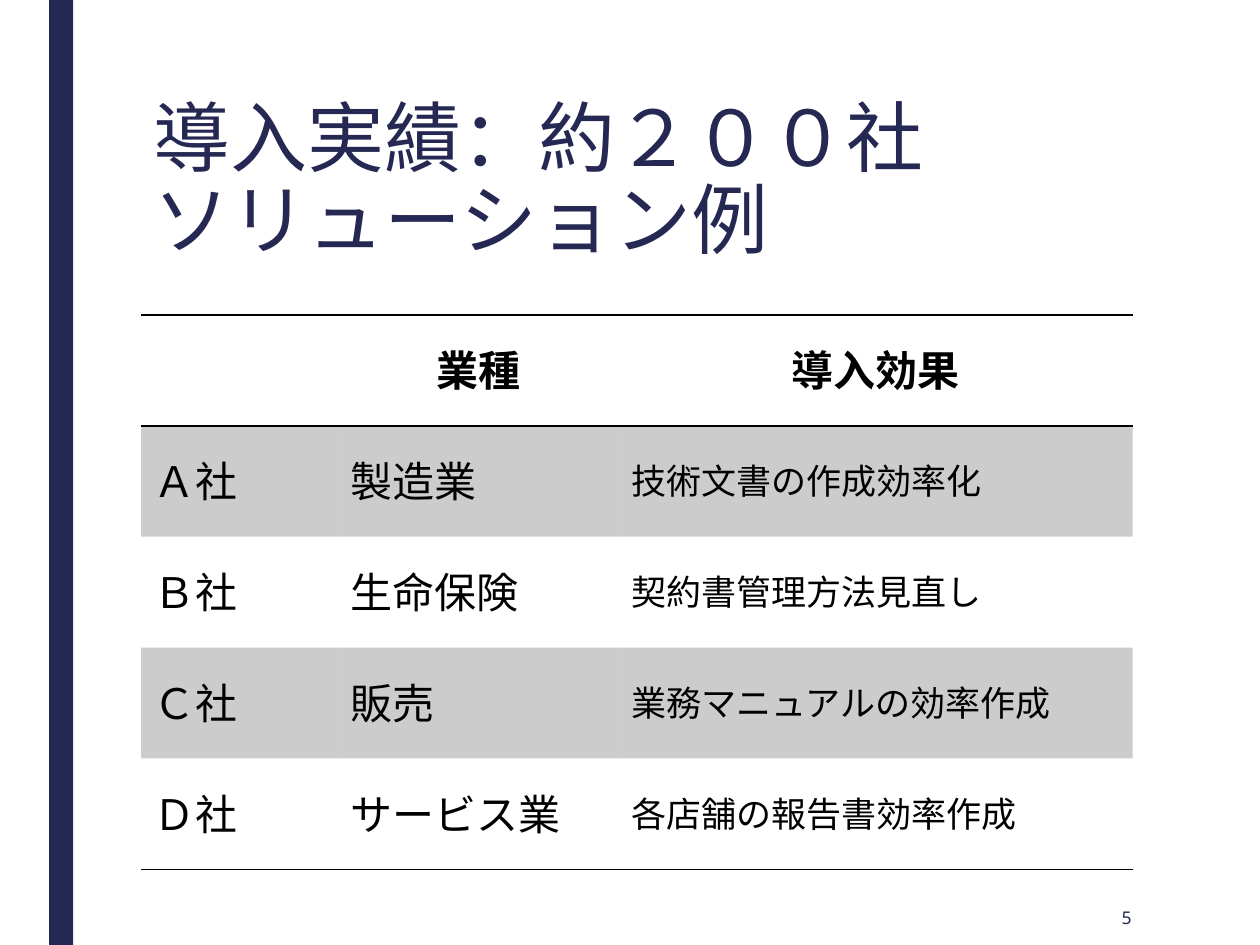
from lxml.etree import SubElement
from pptx import Presentation
from pptx.dml.color import RGBColor
from pptx.enum.shapes import MSO_SHAPE
from pptx.enum.text import MSO_ANCHOR, PP_ALIGN
from pptx.oxml.ns import qn
from pptx.util import Inches, Pt

# Content
TITLE = "導入実績：約２００社\vソリューション例"
PAGE_NUMBER = "5"
ROWS = [
    ("", "業種", "導入効果"),
    ("Ａ社", "製造業", "技術文書の作成効率化"),
    ("Ｂ社", "生命保険", "契約書管理方法見直し"),
    ("Ｃ社", "販売", "業務マニュアルの効率作成"),
    ("Ｄ社", "サービス業", "各店舗の報告書効率作成"),
]

# Theme and layout
THEME = {"font": "Noto Sans", "navy": "242852", "black": "000000",
         "title": 44, "cell": 24, "effect": 20, "number": 10,
         "band_alpha": 20, "rule": 1}
WIDTH, HEIGHT = 10, 7.5
LEFT, CONTENT_WIDTH = 1.12, 7.88
COLUMNS = (1.56, 2.23, 4.08)
ROW_HEIGHT = 0.88


def write(frame, text, size, color=THEME["black"], bold=False,
          align=PP_ALIGN.LEFT, anchor=MSO_ANCHOR.MIDDLE, spacing=None):
    frame.word_wrap = True
    frame.vertical_anchor = anchor
    para = frame.paragraphs[0]
    para.text = text
    para.alignment = align
    para.line_spacing = spacing
    for span in para.runs:
        span.font.size = Pt(size)
        span.font.bold = bold
        span.font.name = THEME["font"]
        span.font.color.rgb = RGBColor.from_string(color)
        SubElement(span.font._element, qn("a:ea"), typeface=THEME["font"])


def add_fill(parent, color, alpha=100):
    solid = SubElement(parent, qn("a:solidFill"))
    shade = SubElement(solid, qn("a:srgbClr"), val=color)
    SubElement(shade, qn("a:alpha"), val=str(alpha * 1000))


def style_cell(cell, ruled_sides, banded):
    properties = cell._tc.get_or_add_tcPr()
    for side in ("lnL", "lnR", "lnT", "lnB"):
        border = SubElement(properties, qn("a:" + side), w=str(Pt(THEME["rule"])))
        if side in ruled_sides:
            add_fill(border, THEME["black"])
        else:
            SubElement(border, qn("a:noFill"))
    if banded:
        add_fill(properties, THEME["black"], THEME["band_alpha"])
    else:
        SubElement(properties, qn("a:noFill"))


deck = Presentation()
deck.slide_width, deck.slide_height = Inches(WIDTH), Inches(HEIGHT)
page = deck.slides.add_slide(deck.slide_layouts[5])

# Side bar
bar = page.shapes.add_shape(MSO_SHAPE.RECTANGLE, Inches(0.39), 0,
                            Inches(0.19), Inches(HEIGHT))
bar.shadow.inherit = False
bar.fill.solid()
bar.fill.fore_color.rgb = RGBColor.from_string(THEME["navy"])
bar.line.fill.background()

# Title
title = page.shapes.title
title.left, title.top = Inches(LEFT), Inches(0.75)
title.width, title.height = Inches(CONTENT_WIDTH), Inches(1.62)
write(title.text_frame, TITLE, THEME["title"], color=THEME["navy"],
      anchor=MSO_ANCHOR.TOP, spacing=0.89)

# Table
table = page.shapes.add_table(
    len(ROWS), len(COLUMNS), Inches(LEFT), Inches(2.5),
    Inches(CONTENT_WIDTH), Inches(ROW_HEIGHT * len(ROWS))).table
table.horz_banding = False
for column, width in zip(table.columns, COLUMNS):
    column.width = Inches(width)
for r, row in enumerate(ROWS):
    table.rows[r].height = Inches(ROW_HEIGHT)
    header = r == 0
    sides = ("lnT", "lnB") if header else ("lnB",) if r == len(ROWS) - 1 else ()
    if r == 1:
        sides = ("lnT",)
    for c, text in enumerate(row):
        cell = table.cell(r, c)
        style_cell(cell, sides, banded=r % 2 == 1)
        size = THEME["effect"] if c == 2 and not header else THEME["cell"]
        write(cell.text_frame, text, size, bold=header,
              align=PP_ALIGN.CENTER if header else PP_ALIGN.LEFT)
        cell.vertical_anchor = MSO_ANCHOR.MIDDLE

# Page number
box = page.shapes.add_textbox(Inches(7.77), Inches(7.06), Inches(1.31), Inches(0.44))
write(box.text_frame, PAGE_NUMBER, THEME["number"], color=THEME["navy"],
      align=PP_ALIGN.RIGHT)

deck.save("out.pptx")
